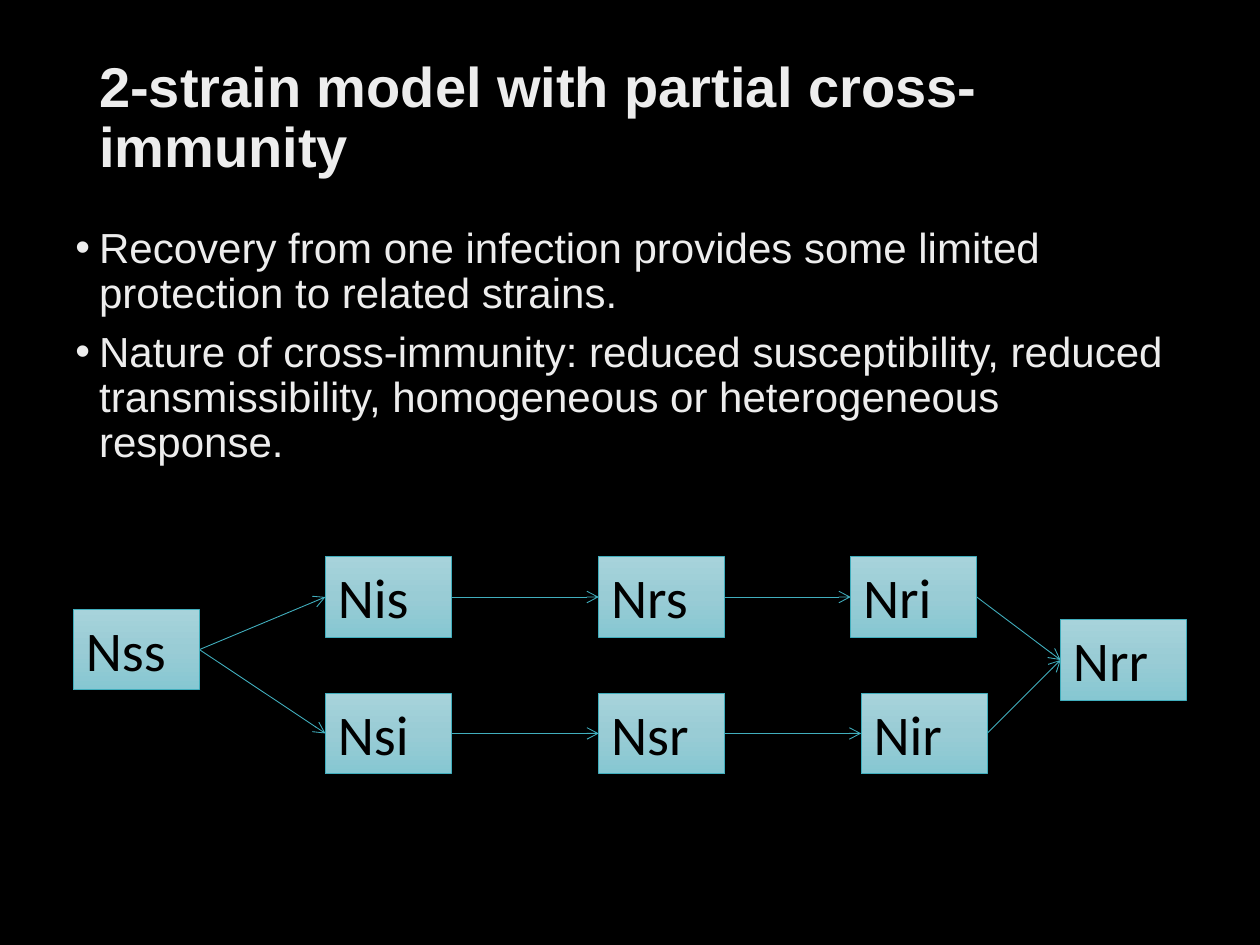
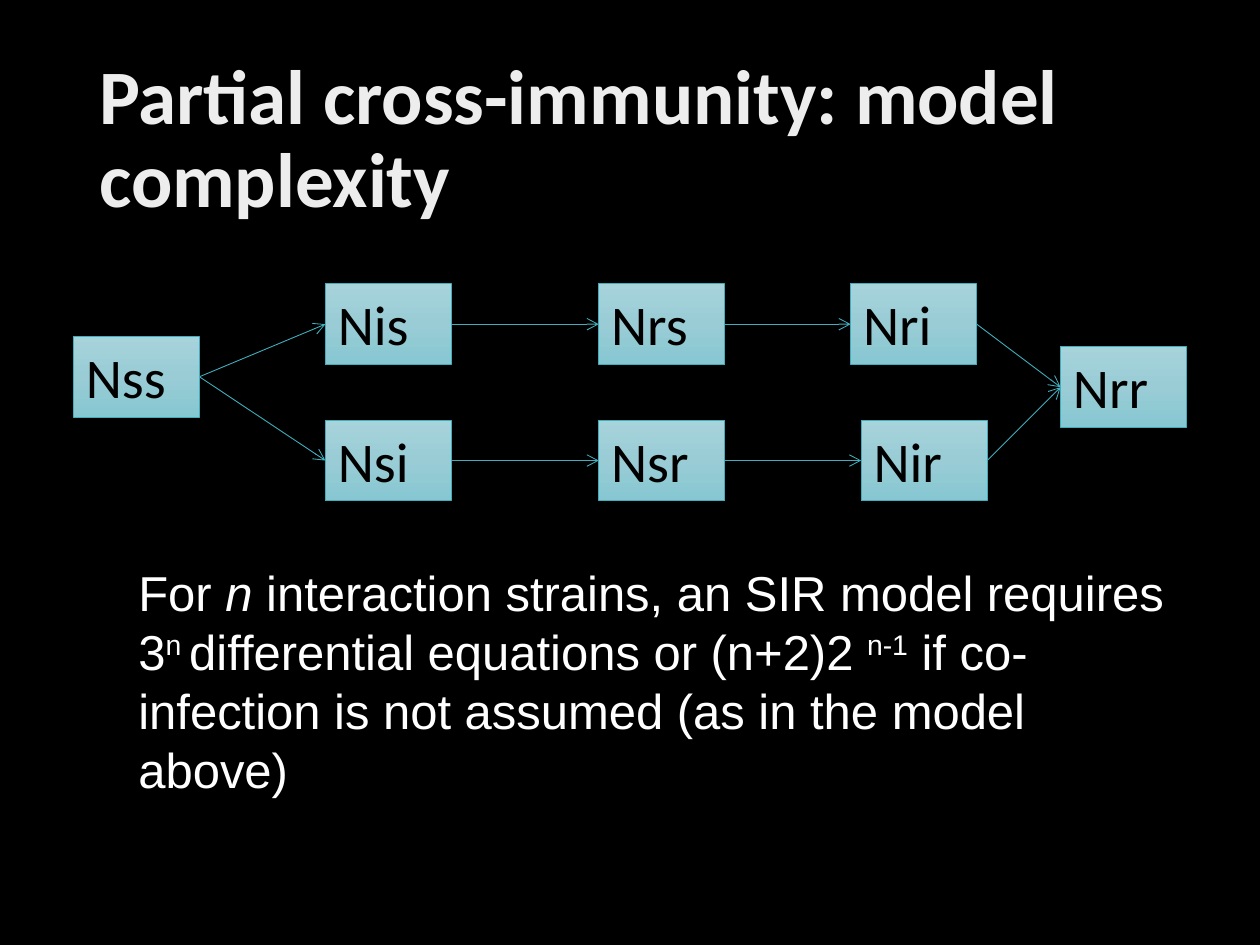
from copy import deepcopy
from dataclasses import dataclass

from lxml.etree import SubElement
from pptx import Presentation
from pptx.dml.color import RGBColor
from pptx.enum.shapes import MSO_CONNECTOR as Connector, MSO_SHAPE as Preset
from pptx.enum.text import MSO_ANCHOR as Anchor, MSO_AUTO_SIZE as AutoSize, PP_ALIGN as Align
from pptx.oxml.ns import qn
from pptx.shapes.autoshape import Shape
from pptx.slide import Slide
from pptx.util import Cm, Pt

BLACK = RGBColor(0x00, 0x00, 0x00)
WHITE = RGBColor(0xFF, 0xFF, 0xFF)
PALE = RGBColor(0xED, 0xED, 0xED)
TEAL = RGBColor(0x41, 0xAE, 0xBD)
BOX_STOPS = (
    (0, RGBColor(0xA7, 0xD3, 0xDB)),
    (0.5, RGBColor(0x99, 0xCC, 0xD5)),
    (1, RGBColor(0x86, 0xC7, 0xD2)),
)
LINE_WIDTH = Pt(0.5)
BOX_WIDTH, BOX_HEIGHT = 2.54, 1.63
LOWER_ROW = 2.75
RIGHT_SIDE, LEFT_SIDE = 3, 1
BULLET_INDENT = Cm(0.48)


@dataclass(frozen=True)
class State:
    name: str
    left: float
    drop: float


@dataclass(frozen=True)
class Span:
    text: str
    italic: bool = False
    raised: bool = False


STATES = (
    State("Nss", 1.48, 1.06),
    State("Nis", 6.56, 0),
    State("Nsi", 6.56, LOWER_ROW),
    State("Nrs", 12.07, 0),
    State("Nsr", 12.07, LOWER_ROW),
    State("Nri", 17.15, 0),
    State("Nir", 17.36, LOWER_ROW),
    State("Nrr", 21.38, 1.27),
)
PATHWAYS = (("Nss", "Nis", "Nrs", "Nri", "Nrr"), ("Nss", "Nsi", "Nsr", "Nir", "Nrr"))

CROSS_IMMUNITY_POINTS = (
    "Recovery from one infection provides some limited protection to related strains.",
    "Nature of cross-immunity: reduced susceptibility, reduced transmissibility, "
    "homogeneous or heterogeneous response.",
)
EQUATION_COUNT = (
    Span("For "),
    Span("n", italic=True),
    Span(" interaction strains, an SIR model requires 3"),
    Span("n ", raised=True),
    Span("differential equations or (n+2)2 "),
    Span("n-1", raised=True),
    Span(" if co-infection is not assumed (as in the model above)"),
)


def write(
    shape: Shape,
    *paragraphs: str | tuple[Span, ...],
    size: float,
    font: str = "Arial",
    color: RGBColor = PALE,
    bold: bool = False,
    bulleted: bool = False,
    line_spacing: float = 1.0,
    space_before: float = 0,
    anchor: Anchor = Anchor.TOP,
    grow: bool = False,
) -> None:
    frame = shape.text_frame
    frame.word_wrap = True
    frame.vertical_anchor = anchor
    frame.auto_size = AutoSize.SHAPE_TO_FIT_TEXT if grow else AutoSize.NONE
    for index, content in enumerate(paragraphs):
        paragraph = frame.add_paragraph() if index else frame.paragraphs[0]
        paragraph.alignment = Align.LEFT
        paragraph.line_spacing = line_spacing
        paragraph.space_before = Pt(space_before)
        if bulleted:
            properties = paragraph._p.get_or_add_pPr()
            properties.set("marL", str(BULLET_INDENT))
            properties.set("indent", str(-BULLET_INDENT))
            SubElement(properties, qn("a:buFont")).set("typeface", "Arial")
            SubElement(properties, qn("a:buChar")).set("char", "•")
        for span in (Span(content),) if isinstance(content, str) else content:
            run = paragraph.add_run()
            run.text = span.text
            run.font.size = Pt(size)
            run.font.name = font
            run.font.color.rgb = color
            run.font.bold = bold
            run.font.italic = span.italic
            if span.raised:
                run._r.get_or_add_rPr().set("baseline", "30000")


def add_text(
    slide: Slide, left: float, top: float, width: float, height: float,
    *paragraphs: str | tuple[Span, ...], **text_format,
) -> None:
    box = slide.shapes.add_textbox(Cm(left), Cm(top), Cm(width), Cm(height))
    write(box, *paragraphs, **text_format)


def add_titled_slide(
    presentation: Presentation, title: str, height: float, size: float, font: str
) -> Slide:
    slide = presentation.slides.add_slide(presentation.slide_layouts[6])
    slide.background.fill.solid()
    slide.background.fill.fore_color.rgb = BLACK
    add_text(slide, 1.75, 1.01, 21.9, height, title, size=size, font=font,
             bold=True, line_spacing=0.9, anchor=Anchor.MIDDLE)
    return slide


def add_state(slide: Slide, state: State, diagram_top: float) -> Shape:
    box = slide.shapes.add_shape(
        Preset.RECTANGLE, Cm(state.left), Cm(diagram_top + state.drop),
        Cm(BOX_WIDTH), Cm(BOX_HEIGHT),
    )
    box.shadow.inherit = False
    box.fill.gradient()
    box.fill.gradient_angle = 270
    stop_list = box.element.spPr.find(f".//{qn('a:gsLst')}")
    stop_list.insert(1, deepcopy(stop_list[0]))
    for stop, (position, color) in zip(box.fill.gradient_stops, BOX_STOPS):
        stop.position = position
        stop.color.rgb = color
    box.line.color.rgb = TEAL
    box.line.width = LINE_WIDTH
    write(box, state.name, size=32, font="Calibri", color=BLACK, grow=True)
    return box


def add_arrow(slide: Slide, source: Shape, target: Shape) -> None:
    arrow = slide.shapes.add_connector(Connector.STRAIGHT, 0, 0, 0, 0)
    arrow.begin_connect(source, RIGHT_SIDE)
    arrow.end_connect(target, LEFT_SIDE)
    arrow.line.color.rgb = TEAL
    arrow.line.width = LINE_WIDTH
    properties = arrow.element.spPr
    SubElement(properties.find(qn("a:ln")), qn("a:tailEnd")).set("type", "arrow")
    SubElement(properties, qn("a:effectLst"))


def add_strain_diagram(slide: Slide, top: float) -> None:
    boxes = {state.name: add_state(slide, state, top) for state in STATES}
    for pathway in PATHWAYS:
        for source, target in zip(pathway, pathway[1:]):
            add_arrow(slide, boxes[source], boxes[target])


def build_model_slide(presentation: Presentation) -> None:
    slide = add_titled_slide(
        presentation, "2-strain model with partial cross-immunity", 2.8, 32, "Arial"
    )
    add_text(slide, 1.27, 4.45, 22.86, 8.26, *CROSS_IMMUNITY_POINTS, size=24,
             bulleted=True, line_spacing=0.9, space_before=7.5)
    add_strain_diagram(slide, 11.22)


def build_complexity_slide(presentation: Presentation) -> None:
    slide = add_titled_slide(
        presentation, "Partial cross-immunity: model complexity", 3.68, 44, "Calibri"
    )
    add_strain_diagram(slide, 5.72)
    add_text(slide, 2.54, 11.22, 21.59, 5.05, EQUATION_COUNT, size=28,
             color=WHITE, grow=True)


def main() -> None:
    presentation = Presentation()
    presentation.slide_width = Cm(25.4)
    presentation.slide_height = Cm(19.05)
    build_model_slide(presentation)
    build_complexity_slide(presentation)
    presentation.save("out.pptx")


if __name__ == "__main__":
    main()
